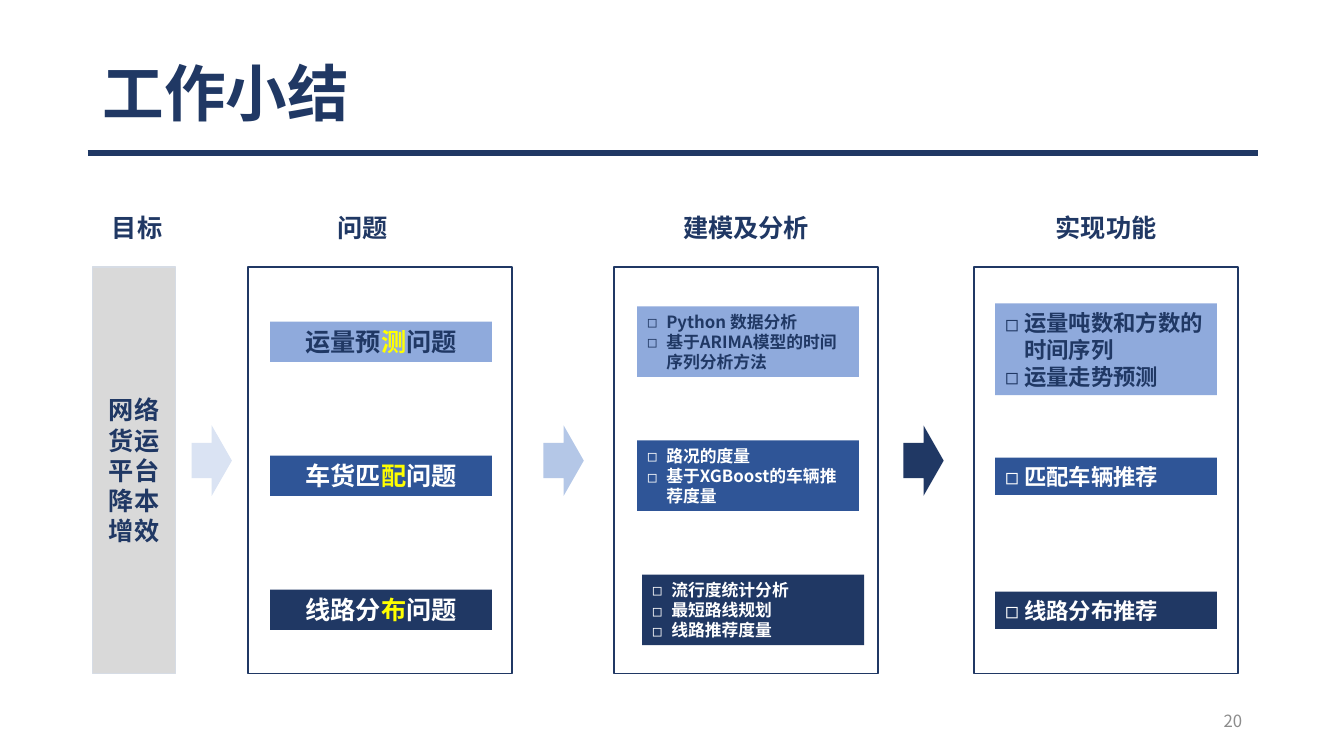
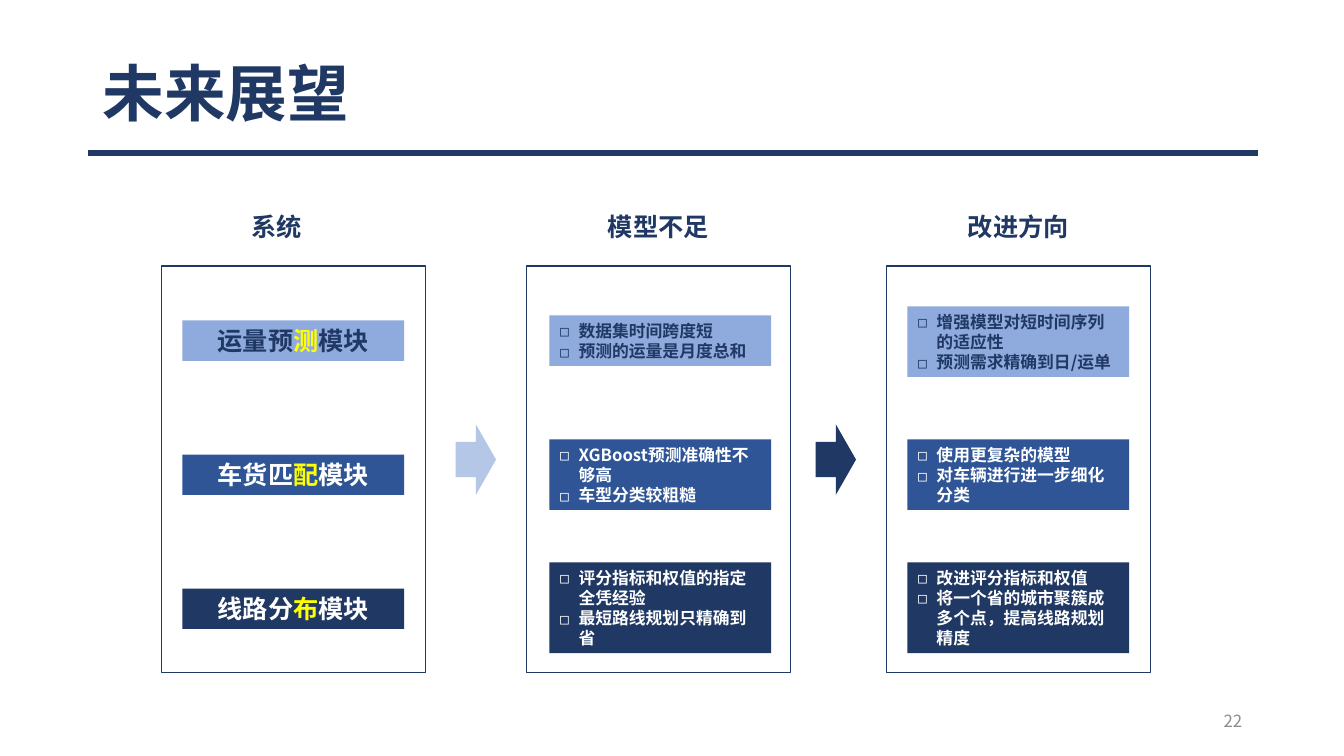
from dataclasses import dataclass

from lxml.etree import SubElement
from pptx import Presentation
from pptx.dml.color import RGBColor
from pptx.enum.shapes import MSO_CONNECTOR as Connector, MSO_SHAPE as Shape
from pptx.enum.text import MSO_ANCHOR as Anchor, MSO_AUTO_SIZE as AutoSize, PP_ALIGN as Align
from pptx.oxml.ns import qn
from pptx.util import Pt

PX = 9144  # 100 px to the inch
FONT = "Noto Sans CJK SC"

NAVY = RGBColor(0x20, 0x38, 0x64)
BLUE = RGBColor(0x2F, 0x55, 0x97)
SKY = RGBColor(0x8F, 0xAA, 0xDC)
PALE = RGBColor(0xB4, 0xC7, 0xE7)
PALEST = RGBColor(0xDA, 0xE3, 0xF3)
MIST = RGBColor(0xD6, 0xDC, 0xE5)
SILVER = RGBColor(0xD9, 0xD9, 0xD9)
GRAY = RGBColor(0x8C, 0x8C, 0x8C)
YELLOW = RGBColor(0xFF, 0xFF, 0x00)
WHITE = RGBColor(0xFF, 0xFF, 0xFF)

# Fill and text colour of the three card rows
ROW_STYLES = [(SKY, NAVY), (BLUE, WHITE), (NAVY, WHITE)]
LINE_PX = {12: 20, 16: 27, 18: 30}
PANEL_W, PANEL_H = 262, 403
CARD_W, FIRST_ROW, ROW_STEP = 220, 74, 133
ARROW_W, ARROW_H, ARROW_DROP = 40, 70, 157
HEADING_W, HEADING_H, HEADING_RISE = 234, 40, 59


@dataclass
class Card:
    paragraphs: list
    lines: int = 1
    dx: int = 0
    dy: int = 0


@dataclass
class Column:
    left: int
    heading: str
    cards: list
    size: int = 12
    inset: int = 21
    heading_dx: int = 0
    arrow: RGBColor = None
    arrow_lead: int = 70


def px(*lengths):
    return [length * PX for length in lengths]


def style_span(span, size, color, bold=True):
    font = span.font
    font.size, font.bold, font.name = Pt(size), bold, FONT
    font.color.rgb = color
    SubElement(span._r.get_or_add_rPr(), qn("a:ea")).set("typeface", FONT)


def fill_text(shape, paragraphs, size, color, align=Align.LEFT, bold=True, anchor=Anchor.MIDDLE):
    """Write paragraphs; one given as a list is split into runs, the second one yellow."""
    frame = shape.text_frame
    frame.word_wrap = True
    frame.vertical_anchor = anchor
    for index, content in enumerate(paragraphs):
        para = frame.paragraphs[0] if index == 0 else frame.add_paragraph()
        para.alignment = align
        pieces = [content] if isinstance(content, str) else content
        for order, piece in enumerate(pieces):
            span = para.add_run()
            span.text = piece
            style_span(span, size, YELLOW if order == 1 else color, bold)
    return frame


def add_text(page, box, text, size, color, align, bold=True):
    label = page.shapes.add_textbox(*px(*box))
    return fill_text(label, [text], size, color, align, bold)


def add_block(page, kind, box, fill=None, line=None):
    block = page.shapes.add_shape(kind, *px(*box))
    block.shadow.inherit = False
    if fill is None:
        block.fill.background()
    else:
        block.fill.solid()
        block.fill.fore_color.rgb = fill
    if line is None:
        block.line.fill.background()
    else:
        block.line.color.rgb = line
        block.line.width = Pt(1)
    return block


def add_bullets(frame):
    for para in frame.paragraphs:
        props = para._p.get_or_add_pPr()
        props.set("marL", str(19 * PX))
        props.set("indent", str(-19 * PX))
        SubElement(props, qn("a:buFont")).set("typeface", FONT)
        SubElement(props, qn("a:buChar")).set("char", "◻")


def add_heading(page, center, top, text):
    box = (center - HEADING_W // 2, top - HEADING_RISE, HEADING_W, HEADING_H)
    add_text(page, box, text, 18, NAVY, Align.CENTER)


def add_arrow(page, left, top, color):
    add_block(page, Shape.RIGHT_ARROW, (left, top + ARROW_DROP, ARROW_W, ARROW_H), color)


def add_card(page, left, middle, card, size, style):
    fill, color = style
    height = 10 + card.lines * LINE_PX[size]
    box = (left + card.dx, middle + card.dy - height // 2, CARD_W, height)
    block = add_block(page, Shape.RECTANGLE, box, fill)
    bulleted = isinstance(card.paragraphs[0], str)
    frame = fill_text(block, card.paragraphs, size, color,
                      Align.LEFT if bulleted else Align.CENTER)
    frame.auto_size = AutoSize.SHAPE_TO_FIT_TEXT
    if bulleted:
        add_bullets(frame)


def add_column(page, column, top):
    left = column.left
    add_heading(page, left + PANEL_W // 2 + column.heading_dx, top, column.heading)
    add_block(page, Shape.RECTANGLE, (left, top, PANEL_W, PANEL_H), line=NAVY)
    if column.arrow is not None:
        add_arrow(page, left - column.arrow_lead, top, column.arrow)
    for row, (card, style) in enumerate(zip(column.cards, ROW_STYLES)):
        middle = top + FIRST_ROW + row * ROW_STEP
        add_card(page, left + column.inset, middle, card, column.size, style)


def add_goal(page, left, top, heading, text):
    width = 82
    add_heading(page, left + width // 2 + 3, top, heading)
    bar = add_block(page, Shape.RECTANGLE, (left, top, width, PANEL_H), SILVER, MIST)
    fill_text(bar, [text], 18, NAVY, Align.CENTER)


def add_page(deck, title, number):
    page = deck.slides.add_slide(deck.slide_layouts[6])
    # Title and the rule below it
    rule = page.shapes.add_connector(Connector.STRAIGHT, *px(87, 152, 1248, 152))
    rule.line.color.rgb = NAVY
    rule.line.width = Pt(4)
    SubElement(rule._element.spPr, qn("a:effectLst"))
    frame = add_text(page, (92, 40, 1150, 112), title, 44, NAVY, Align.LEFT)
    frame.paragraphs[0].line_spacing = 0.9
    # Page number
    add_text(page, (942, 695, 300, 40), str(number), 12, GRAY, Align.RIGHT, bold=False)
    return page


def topic_cards(noun):
    topics = [("运量预", "测"), ("车货匹", "配"), ("线路分", "布")]
    return [Card([[start, marked, noun]]) for start, marked in topics]


def build_summary(deck):
    page = add_page(deck, "工作小结", 20)
    top = 265
    add_goal(page, 92, top, "目标", "网络货运平台降本增效")
    columns = [
        Column(246, "问题", topic_cards("问题"), size=18, inset=22, heading_dx=-17,
               arrow=PALEST, arrow_lead=56),
        Column(609, "建模及分析", [
            Card(["Python 数据分析", "基于ARIMA模型的时间序列分析方法"], 3),
            Card(["路况的度量", "基于XGBoost的车辆推荐度量"], 3),
            Card(["流行度统计分析", "最短路线规划", "线路推荐度量"], 3, dx=5),
        ], inset=23, arrow=PALE),
        Column(966, "实现功能", [
            Card(["运量吨数和方数的时间序列", "运量走势预测"], 3, dy=7),
            Card(["匹配车辆推荐"]),
            Card(["线路分布推荐"]),
        ], size=16, arrow=NAVY),
    ]
    for column in columns:
        add_column(page, column, top)


def build_outlook(deck):
    page = add_page(deck, "未来展望", 22)
    columns = [
        Column(160, "系统", topic_cards("模块"), size=18, heading_dx=-17),
        Column(522, "模型不足", [
            Card(["数据集时间跨度短", "预测的运量是月度总和"], 2),
            Card(["XGBoost预测准确性不够高", "车型分类较粗糙"], 3),
            Card(["评分指标和权值的指定全凭经验", "最短路线规划只精确到省"], 4, dy=-1),
        ], inset=23, arrow=PALE),
        Column(879, "改进方向", [
            Card(["增强模型对短时间序列的适应性", "预测需求精确到日/运单"], 3, dy=1),
            Card(["使用更复杂的模型", "对车辆进行进一步细化分类"], 3),
            Card(["改进评分指标和权值", "将一个省的城市聚簇成多个点，提高线路规划精度"], 4, dy=-1),
        ], arrow=NAVY),
    ]
    for column in columns:
        add_column(page, column, 264)


def main():
    deck = Presentation()
    deck.slide_width, deck.slide_height = px(1333, 750)
    build_summary(deck)
    build_outlook(deck)
    deck.save("out.pptx")


if __name__ == "__main__":
    main()
